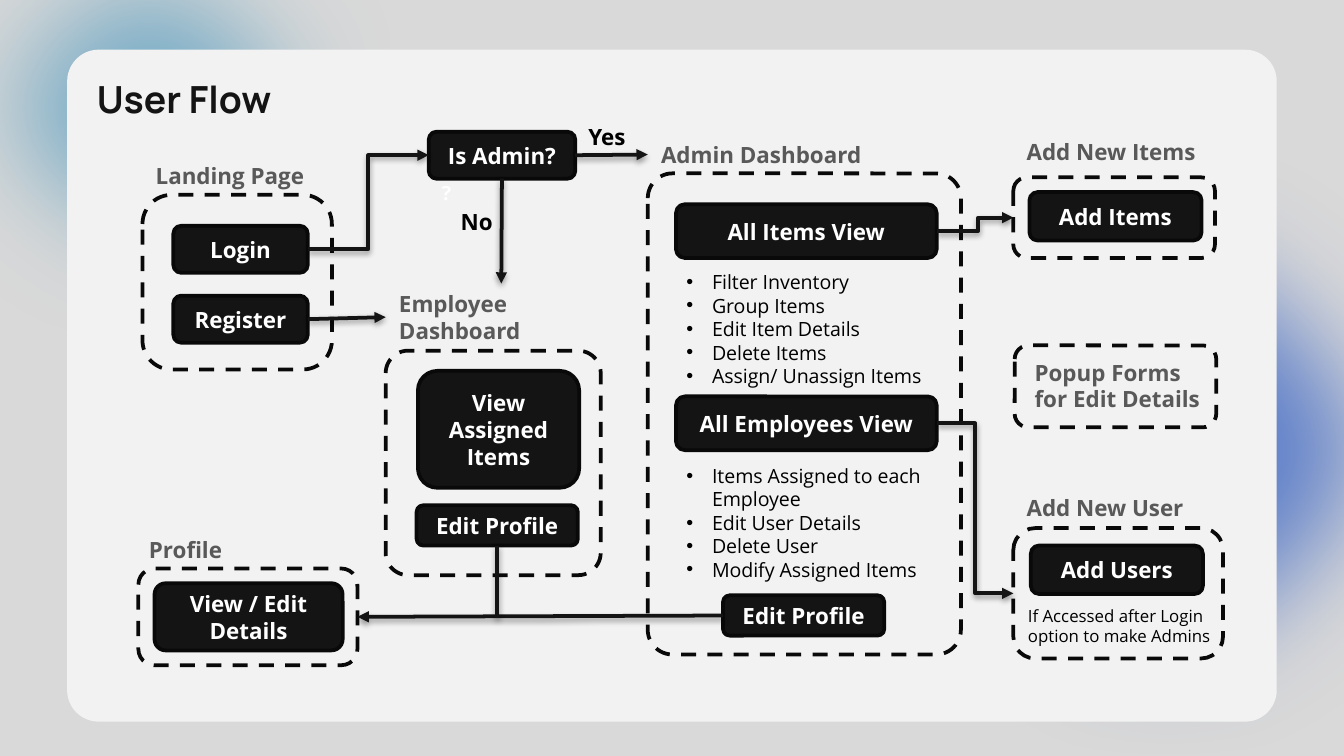
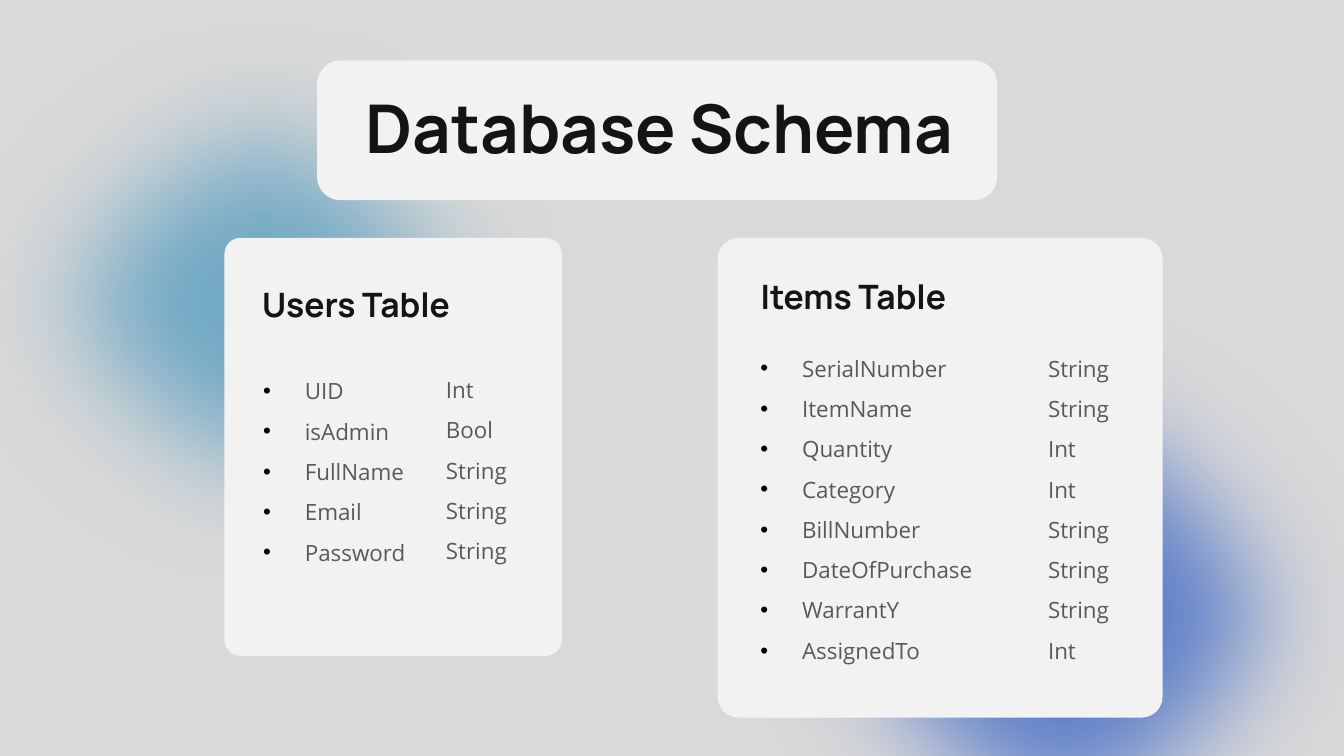
from dataclasses import dataclass

import lxml.etree
import pptx
import pptx.dml.color
import pptx.enum.dml
import pptx.enum.shapes
import pptx.enum.text
import pptx.oxml.ns
import pptx.util

COLUMNS, ROWS = 100, 56.25
TOP, LEFT, BOTTOM, RIGHT = range(4)


@dataclass(frozen=True)
class TextStyle:
    font: str
    size: float
    colour: str
    bold: bool = False


@dataclass(frozen=True)
class Theme:
    background: str = "D9D9D9"
    panel: str = "F2F2F2"
    dark: str = "141414"
    outline: str = "090909"
    bullet: str = "000000"
    teal: str = "4796BD"
    blue: str = "2757C3"
    line_width: float = 2
    corner: float = 0.167
    panel_corner: float = 0.047
    veil_opacity: int = 30
    soft_edge: float = 0.88
    cover_title: TextStyle = TextStyle("Manrope", 36, "141414", True)
    page_title: TextStyle = TextStyle("Manrope", 20, "141414", True)
    card_title: TextStyle = TextStyle("Manrope", 18, "141414", True)
    button: TextStyle = TextStyle("Open Sans", 12, "FFFFFF", True)
    label: TextStyle = TextStyle("Open Sans", 12, "595959", True)
    answer: TextStyle = TextStyle("Open Sans", 12, "000000", True)
    mark: TextStyle = TextStyle("Open Sans", 10.5, "FFFFFF", True)
    detail: TextStyle = TextStyle("Open Sans", 10.5, "000000")
    note: TextStyle = TextStyle("Open Sans", 9, "000000")
    field: TextStyle = TextStyle("Open Sans", 12, "595959")


def rgb(code):
    return pptx.dml.color.RGBColor.from_string(code)


def add_xml(parent, tag, **attributes):
    child = lxml.etree.SubElement(parent, pptx.oxml.ns.qn(tag))
    for name, value in attributes.items():
        child.set(name, str(value))
    return child


class Sheet:
    """Draws on the current slide; every place is (column, row, columns, rows)."""

    def __init__(self, deck, theme):
        self.deck = deck
        self.theme = theme
        self.page = None

    def lengths(self, *pairs):
        units = (self.deck.slide_width / COLUMNS, self.deck.slide_height / ROWS)
        return [round(value * units[i % 2]) for i, value in enumerate(pairs)]

    def start(self, teal_place, blue_place):
        """Begin a slide with two blurred discs under a translucent veil."""
        self.page = self.deck.slides.add_slide(self.deck.slide_layouts[6])
        fill = self.page.background.fill
        fill.solid()
        fill.fore_color.rgb = rgb(self.theme.background)
        self.disc(blue_place, self.theme.blue)
        self.disc(teal_place, self.theme.teal)
        veil = self.rounded((0, 0, COLUMNS, ROWS), self.theme.background, corner=0)
        colour = veil._element.spPr.find(".//" + pptx.oxml.ns.qn("a:srgbClr"))
        add_xml(colour, "a:alpha", val=self.theme.veil_opacity * 1000)

    def shape(self, kind, place, fill=None, dash=None, outlined=False):
        box = self.page.shapes.add_shape(kind, *self.lengths(*place))
        box.shadow.inherit = False
        if fill:
            box.fill.solid()
            box.fill.fore_color.rgb = rgb(fill)
        else:
            box.fill.background()
        if outlined:
            box.line.color.rgb = rgb(self.theme.outline)
            box.line.width = pptx.util.Pt(self.theme.line_width)
            box.line.dash_style = dash
        else:
            box.line.fill.background()
        return box

    def disc(self, place, colour):
        disc = self.shape(pptx.enum.shapes.MSO_SHAPE.OVAL, place, colour)
        effects = disc._element.spPr.find(pptx.oxml.ns.qn("a:effectLst"))
        add_xml(effects, "a:softEdge", rad=int(pptx.util.Inches(self.theme.soft_edge)))

    def rounded(self, place, fill=None, corner=None, **line):
        box = self.shape(pptx.enum.shapes.MSO_SHAPE.ROUNDED_RECTANGLE, place, fill, **line)
        box.adjustments[0] = self.theme.corner if corner is None else corner
        return box

    def panel(self, place, corner=None):
        return self.rounded(place, self.theme.panel, corner or self.theme.panel_corner)

    def zone(self, place, corner=None):
        """Dashed frame around the parts of one screen."""
        dash = pptx.enum.dml.MSO_LINE.DASH
        return self.rounded(place, corner=corner, dash=dash, outlined=True)

    def button(self, text, place):
        box = self.rounded(place, self.theme.dark, outlined=True)
        box.text_frame.vertical_anchor = pptx.enum.text.MSO_ANCHOR.MIDDLE
        self.set_text(box.text_frame, text, self.theme.button)
        box.text_frame.paragraphs[0].alignment = pptx.enum.text.PP_ALIGN.CENTER
        return box

    def set_text(self, frame, text, style):
        frame.word_wrap = True
        frame.text = text
        for para in frame.paragraphs:
            for span in para.runs:
                span.font.name = style.font
                span.font.size = pptx.util.Pt(style.size)
                span.font.bold = style.bold
                span.font.color.rgb = rgb(style.colour)

    def text(self, text, place, style):
        box = self.page.shapes.add_textbox(*self.lengths(*place))
        self.set_text(box.text_frame, text, style)
        return box

    def title(self, text, place, style):
        frame = self.text(text, place, style).text_frame
        frame.margin_left = frame.margin_right = 0
        frame.margin_top = frame.margin_bottom = 0

    def lines(self, items, place, style, indent=0, spacing=None):
        """One paragraph per item, bulleted when an indent (inches) is given."""
        box = self.text("\n".join(items), place, style)
        for para in box.text_frame.paragraphs:
            para.line_spacing = spacing
            if indent:
                properties = para._p.get_or_add_pPr()
                hang = int(pptx.util.Inches(indent))
                properties.set("marL", str(hang))
                properties.set("indent", str(-hang))
                colour = add_xml(properties, "a:buClr")
                add_xml(colour, "a:srgbClr", val=self.theme.bullet)
                add_xml(properties, "a:buFont", typeface="Arial")
                add_xml(properties, "a:buChar", char="•")

    def connect(self, start, start_side, end, end_side, bent=False, split=None):
        """Arrow between two sides; split moves the bend of an elbow."""
        kinds = pptx.enum.shapes.MSO_CONNECTOR
        arrow = self.line((0, 0, 0, 0), kinds.ELBOW if bent else kinds.STRAIGHT)
        arrow.begin_connect(start, start_side)
        arrow.end_connect(end, end_side)
        outline = arrow._element.spPr.find(pptx.oxml.ns.qn("a:ln"))
        add_xml(outline, "a:tailEnd", type="triangle")
        if split:
            geometry = arrow._element.spPr.find(pptx.oxml.ns.qn("a:prstGeom"))
            guides = geometry.find(pptx.oxml.ns.qn("a:avLst"))
            add_xml(guides, "a:gd", name="adj1", fmla=f"val {round(split * 100000)}")

    def line(self, ends, kind=pptx.enum.shapes.MSO_CONNECTOR.STRAIGHT):
        """Dark line that keeps the soft shadow of the deck's line style."""
        line = self.page.shapes.add_connector(kind, *self.lengths(*ends))
        line.line.color.rgb = rgb(self.theme.dark)
        line.line.width = pptx.util.Pt(self.theme.line_width)
        return line


def draw_user_flow(sheet):
    theme = sheet.theme
    sheet.start((-10.4, -11.6, 43, 39.2), (62, 8.5, 50, 50))
    sheet.panel((5, 3.7, 90, 50))
    sheet.title("User Flow", (7.2, 5.7, 14.1, 3.5), theme.page_title)

    sheet.zone((10.6, 14.5, 14.1, 13))
    sheet.zone((48.2, 12.9, 23.3, 35.8), 0.079)
    sheet.zone((28.7, 26.1, 16, 16.7), 0.104)
    sheet.zone((75.5, 25.7, 15, 6.1))
    new_user = sheet.zone((75.4, 39.3, 15.6, 9.7))
    new_items = sheet.zone((75.4, 13.2, 15, 6))
    profile = sheet.zone((10.3, 42.3, 16.3, 7.2))

    labels = {
        "Landing Page": (10.6, 11.6, 14.9, 3),
        "Admin Dashboard": (48.2, 10, 21.5, 3),
        "Employee Dashboard": (28.7, 21.1, 17.2, 5),
        "Profile": (10.1, 39.4, 14.9, 3),
        "Add New Items": (75.4, 9.8, 14.9, 3),
        "Add New User": (75.4, 36.3, 14.9, 3),
        "Popup Forms for Edit Details": (76, 26.2, 14.4, 5),
    }
    label = {text: sheet.text(text, place, theme.label) for text, place in labels.items()}
    sheet.text("?", (31.9, 13, 8.9, 2.9), theme.mark)

    login = sheet.button("Login", (12.9, 16.8, 10, 3.5))
    register = sheet.button("Register", (12.9, 22, 10, 3.5))
    is_admin = sheet.button("Is Admin?", (31.9, 9.8, 10.9, 3.5))
    sheet.button("View Assigned Items", (31.1, 27.6, 12, 8.7))
    sheet.button("Edit Profile", (31, 37.6, 12, 3))
    all_items = sheet.button("All Items View", (50.3, 15.2, 19.4, 4))
    all_employees = sheet.button("All Employees View", (50.3, 29.5, 19.4, 4))
    admin_profile = sheet.button("Edit Profile", (53.8, 44.3, 12, 3))
    sheet.button("Add Items", (76.6, 14.3, 12.8, 3.6))
    sheet.button("Add Users", (76.7, 40.6, 12.8, 3.6))
    sheet.button("View / Edit Details", (11.5, 43.4, 14, 5))

    actions = {
        19.6: ["Filter Inventory", "Group Items", "Edit Item Details",
               "Delete Items", "Assign/ Unassign Items"],
        34: ["Items Assigned to each Employee", "Edit User Details",
             "Delete User", "Modify Assigned Items"],
    }
    for row, items in actions.items():
        sheet.lines(items, (50.1, row, 19.6, 9.8), theme.detail, indent=0.19)
    sheet.text("If Accessed after Login option to make Admins",
               (75.5, 44.6, 15.6, 4), theme.note)

    sheet.connect(register, RIGHT, label["Employee Dashboard"], LEFT)
    sheet.connect(login, RIGHT, is_admin, LEFT, bent=True)
    sheet.connect(is_admin, BOTTOM, label["Employee Dashboard"], TOP)
    sheet.connect(is_admin, RIGHT, label["Admin Dashboard"], LEFT)
    sheet.connect(admin_profile, LEFT, profile, RIGHT)
    sheet.line((37, 40.6, 37, 46))
    sheet.connect(all_items, RIGHT, new_items, LEFT, bent=True, split=0.54)
    sheet.connect(all_employees, RIGHT, new_user, LEFT, bent=True)
    sheet.text("No", (33.3, 15, 5, 3), theme.answer)
    sheet.text("Yes", (42.8, 8.7, 5.3, 3), theme.answer)


def draw_schema(sheet):
    theme = sheet.theme
    sheet.start((-5, 0, 48.9, 45), (54.1, 20.8, 50, 50))
    sheet.panel((23.6, 4.5, 50.6, 10.4), 0.168)
    sheet.title("Database Schema", (27.2, 6.4, 45.7, 6.3), theme.cover_title)

    users = [("UID", "Int"), ("isAdmin", "Bool"), ("FullName", "String"),
             ("Email", "String"), ("Password", "String")]
    items = [("SerialNumber", "String"), ("ItemName", "String"), ("Quantity", "Int"),
             ("Category", "Int"), ("BillNumber", "String"), ("DateOfPurchase", "String"),
             ("WarrantY", "String"), ("AssignedTo", "Int")]
    # heading, fields, card, heading corner, names corner, types corner
    cards = [
        ("Users Table", users, (16.7, 17.7, 25.1, 31.1), (19.5, 21.1), (18.6, 26.6), (32.2, 26.5)),
        ("Items Table", items, (53.4, 17.7, 33.1, 35.7), (56.6, 20.5), (55.6, 24.9), (77, 24.9)),
    ]
    for heading, fields, card, heading_at, names_at, types_at in cards:
        names, types = zip(*fields)
        height = 3 * len(fields) + 1
        sheet.panel(card)
        sheet.title(heading, (*heading_at, 19.4, 4.4), theme.card_title)
        sheet.lines(names, (*names_at, 21.5, height), theme.field, indent=0.31, spacing=1.5)
        sheet.lines(types, (*types_at, 8, height), theme.field, spacing=1.5)


def main():
    deck = pptx.Presentation()
    deck.slide_width = pptx.util.Inches(10)
    deck.slide_height = pptx.util.Inches(5.625)
    sheet = Sheet(deck, Theme())
    draw_user_flow(sheet)
    draw_schema(sheet)
    deck.save("out.pptx")


if __name__ == "__main__":
    main()
